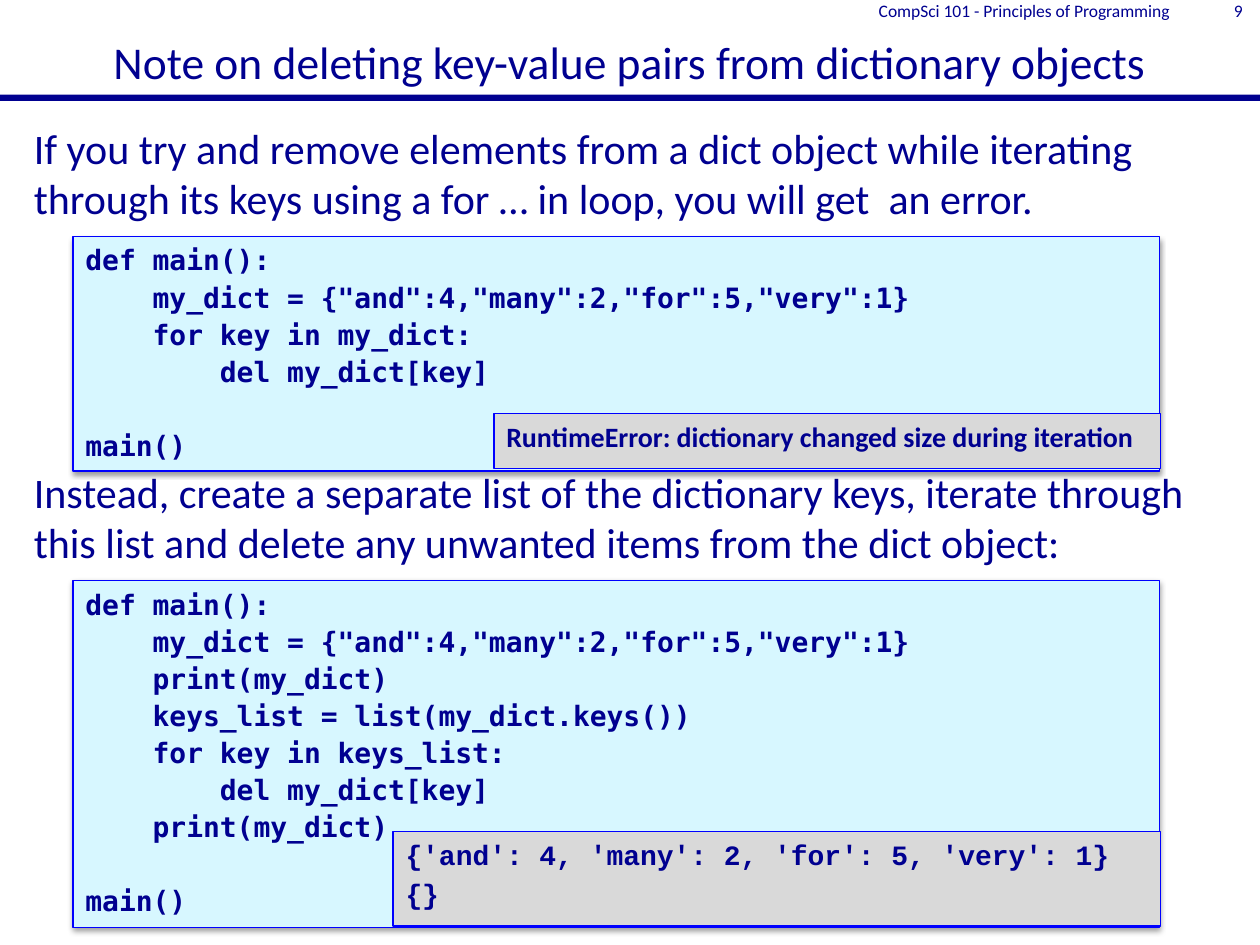
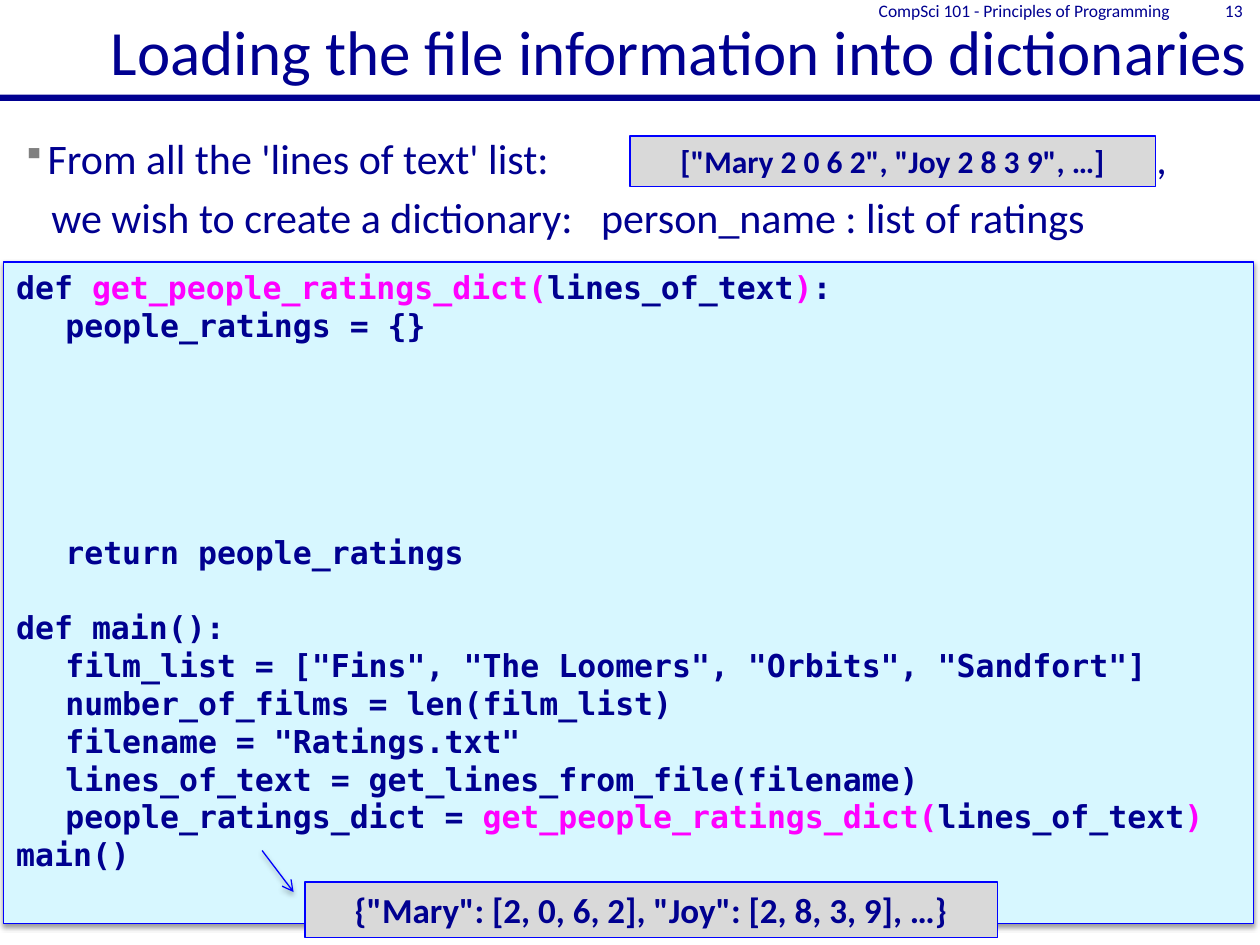
from dataclasses import dataclass

from lxml.etree import SubElement
from pptx import Presentation
from pptx.dml.color import RGBColor
from pptx.enum.shapes import MSO_CONNECTOR as Connector, MSO_SHAPE as Shape
from pptx.enum.text import MSO_ANCHOR as Anchor, PP_ALIGN as Align
from pptx.oxml.ns import qn
from pptx.util import Pt

PX = 9144  # 100 px to the inch
TITLE_ONLY = 5
COLOURS = {
    "ink": "000090",
    "accent": "FF00FF",
    "code": "D7F7FF",
    "result": "D9D9D9",
    "outline": "0000FF",
    "bullet": "808080",
    "shadow": "000000",
}
BODY_FONT = "Calibri"
CODE_FONT = "DejaVu Sans Mono"
OUTPUT_FONT = "Courier New"
CODE_LINE_HEIGHT = 1.2
CODE_INDENT = 39
ACCENT_MARK = "|"
COURSE = "CompSci 101 - Principles of Programming"


@dataclass(frozen=True)
class Box:
    left: int
    top: int
    width: int
    height: int

    def emu(self) -> tuple[int, ...]:
        return tuple(v * PX for v in (self.left, self.top, self.width, self.height))


@dataclass(frozen=True)
class CodeBlock:
    box: Box
    source: str
    size: int = 16
    gap: int = 2


@dataclass(frozen=True)
class Result:
    box: Box
    text: str
    size: int = 16
    font: str = BODY_FONT
    align: Align = Align.LEFT


def colour(name: str) -> RGBColor:
    return RGBColor.from_string(COLOURS[name])


def format_paragraph(paragraph, margin=0, indent=0, bullet="", tabs=()) -> None:
    properties = paragraph._p.get_or_add_pPr()
    properties.set("marL", str(margin * PX))
    properties.set("indent", str(indent * PX))
    if bullet:
        bullet_colour = SubElement(properties, qn("a:buClr"))
        SubElement(bullet_colour, qn("a:srgbClr"), val=COLOURS["bullet"])
        SubElement(properties, qn("a:buSzPct"), val="75000")
        SubElement(properties, qn("a:buChar"), char=bullet)
    if tabs:
        tab_list = SubElement(properties, qn("a:tabLst"))
        for position in tabs:
            SubElement(tab_list, qn("a:tab"), pos=str(position * PX), algn="l")


def write_text(frame, text: str, *, size: int, font: str = BODY_FONT, bold: bool = False,
               align: Align = Align.LEFT, anchor: Anchor = Anchor.TOP, gap: float = 0,
               margin: int = 0, **layout) -> None:
    """Write one paragraph a line; an empty line becomes space before the next.

    Parts between accent marks take the accent colour, and a leading tab
    becomes a left indent.
    """
    frame.word_wrap = True
    frame.vertical_anchor = anchor
    space, paragraph = gap, None
    for line in text.split("\n"):
        if not line:
            space += size * CODE_LINE_HEIGHT + gap
            continue
        paragraph = frame.add_paragraph() if paragraph else frame.paragraphs[0]
        paragraph.alignment = align
        paragraph.space_before = Pt(round(space, 1))
        code_indent = CODE_INDENT if line.startswith("\t") else 0
        format_paragraph(paragraph, margin=margin + code_indent, **layout)
        for index, part in enumerate(line.removeprefix("\t").split(ACCENT_MARK)):
            if part:
                run = paragraph.add_run()
                run.text = part
                run.font.size, run.font.name, run.font.bold = Pt(size), font, bold
                run.font.color.rgb = colour("accent" if index % 2 else "ink")
        space = gap


def set_effects(shape, shadow: bool) -> None:
    effects = SubElement(shape._element.spPr, qn("a:effectLst"))
    if shadow:
        outer = SubElement(effects, qn("a:outerShdw"), blurRad=str(Pt(3.1)),
                           dist=str(Pt(1.6)), dir="5400000", rotWithShape="0")
        tint = SubElement(outer, qn("a:srgbClr"), val=COLOURS["shadow"])
        SubElement(tint, qn("a:alpha"), val="38000")


def add_panel(slide, box: Box, fill: str, outlined: bool = True, shadow: bool = False):
    shape = slide.shapes.add_shape(Shape.RECTANGLE, *box.emu())
    shape.fill.solid()
    shape.fill.fore_color.rgb = colour(fill)
    if outlined:
        shape.line.color.rgb = colour("outline")
        shape.line.width = Pt(0.75)
    else:
        shape.line.fill.background()
    set_effects(shape, shadow)
    return shape


def add_text(slide, box: Box, text: str, **text_format):
    frame = slide.shapes.add_textbox(*box.emu()).text_frame
    write_text(frame, text, **text_format)
    return frame


def add_code(slide, block: CodeBlock) -> None:
    shape = add_panel(slide, block.box, "code", shadow=True)
    write_text(shape.text_frame, block.source, size=block.size, font=CODE_FONT,
               bold=True, gap=block.gap)


def add_result(slide, result: Result) -> None:
    shape = add_panel(slide, result.box, "result")
    write_text(shape.text_frame, result.text, size=result.size, font=result.font,
               bold=True, align=result.align, gap=result.size * 0.2)


def add_arrow(slide, start: tuple[int, int], end: tuple[int, int]) -> None:
    points = [value * PX for value in start + end]
    arrow = slide.shapes.add_connector(Connector.STRAIGHT, *points)
    arrow.line.color.rgb = colour("outline")
    arrow.line.width = Pt(0.75)
    SubElement(arrow._element.spPr.find(qn("a:ln")), qn("a:tailEnd"), type="arrow")
    set_effects(arrow, shadow=True)


def add_titled_slide(presentation, title: str, number: int, size: int, align: Align):
    """Add a slide with its title, the rule below it and the running header."""
    slide = presentation.slides.add_slide(presentation.slide_layouts[TITLE_ONLY])
    placeholder = slide.shapes.title
    (placeholder.left, placeholder.top,
     placeholder.width, placeholder.height) = Box(0, 0, 1000, 75).emu()
    write_text(placeholder.text_frame, title, size=size, align=align, anchor=Anchor.BOTTOM)
    add_panel(slide, Box(0, 75, 1000, 5), "ink", outlined=False)
    for box, text in ((Box(638, 0, 300, 17), COURSE), (Box(938, 0, 58, 17), str(number))):
        frame = add_text(slide, box, text, size=10, align=Align.RIGHT, anchor=Anchor.MIDDLE)
        frame.margin_top = frame.margin_bottom = 0
    return slide


DELETE_IN_LOOP = CodeBlock(Box(58, 188, 862, 186), '''def main():
    my_dict = {"and":4,"many":2,"for":5,"very":1}
    for key in my_dict:
        del my_dict[key]

main()''')

DELETE_BY_LIST = CodeBlock(Box(58, 461, 862, 275), '''def main():
    my_dict = {"and":4,"many":2,"for":5,"very":1}
    print(my_dict)
    keys_list = list(my_dict.keys())
    for key in keys_list:
        del my_dict[key]
    print(my_dict)

main()''')

RATINGS_PROGRAM = CodeBlock(Box(3, 208, 992, 525), '''def |get_people_ratings_dict(|lines_of_text|)|:
\tpeople_ratings = {}





\treturn people_ratings

def main():
\tfilm_list = ["Fins", "The Loomers", "Orbits", "Sandfort"]
\tnumber_of_films = len(film_list)
\tfilename = "Ratings.txt"
\tlines_of_text = get_lines_from_file(filename)
\tpeople_ratings_dict = |get_people_ratings_dict(|lines_of_text|)|
main()''', size=18, gap=0)


def build_deleting_slide(presentation) -> None:
    slide = add_titled_slide(
        presentation, "Note on deleting key-value pairs from dictionary objects",
        number=9, size=26, align=Align.CENTER)
    advice = (
        (92, "If you try and remove elements from a dict object while iterating "
             "through its keys using a for … in loop, you will get  an error."),
        (365, "Instead, create a separate list of the dictionary keys, iterate through "
              "this list and delete any unwanted items from the dict object:"),
    )
    for top, text in advice:
        add_text(slide, Box(17, top, 967, 92), text, size=24)
    add_code(slide, DELETE_IN_LOOP)
    add_result(slide, Result(Box(392, 328, 529, 44),
                             "RuntimeError: dictionary changed size during iteration"))
    add_code(slide, DELETE_BY_LIST)
    add_result(slide, Result(Box(312, 660, 609, 75),
                             "{'and': 4, 'many': 2, 'for': 5, 'very': 1}\n{}",
                             font=OUTPUT_FONT))


def build_loading_slide(presentation) -> None:
    slide = add_titled_slide(
        presentation, "Loading the file information into dictionaries",
        number=13, size=36, align=Align.RIGHT)
    add_text(slide, Box(8, 100, 958, 50), "From all the 'lines of text' list:\t,",
             size=24, margin=20, indent=-20, bullet="▪", tabs=(900,))
    add_text(slide, Box(8, 147, 958, 50),
             "we wish to create a dictionary:   person_name : list of ratings",
             size=24, margin=23)
    add_code(slide, RATINGS_PROGRAM)
    add_result(slide, Result(Box(242, 700, 550, 44),
                             '{"Mary": [2, 0, 6, 2], "Joy": [2, 8, 3, 9], …}',
                             size=20, align=Align.CENTER))
    add_arrow(slide, (208, 675), (233, 708))
    add_result(slide, Result(Box(500, 108, 417, 40),
                             '["Mary 2 0 6 2", "Joy 2 8 3 9", …]',
                             size=18, align=Align.CENTER))


def main() -> None:
    presentation = Presentation()
    presentation.slide_width, presentation.slide_height = 1000 * PX, 750 * PX
    build_deleting_slide(presentation)
    build_loading_slide(presentation)
    presentation.save("out.pptx")


if __name__ == "__main__":
    main()
